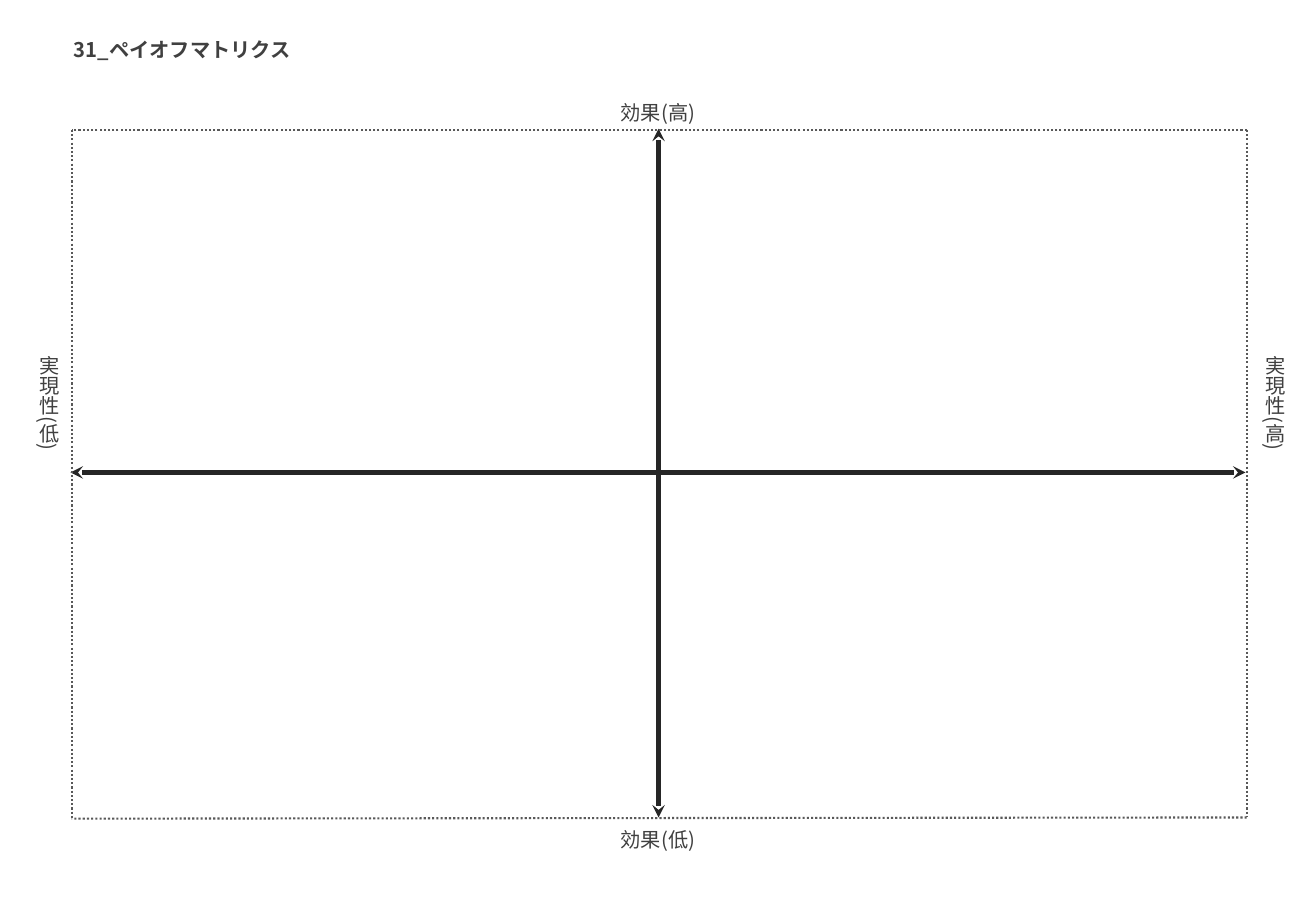
from lxml.etree import SubElement
from pptx import Presentation
from pptx.dml.color import RGBColor
from pptx.enum.dml import MSO_LINE
from pptx.enum.shapes import MSO_CONNECTOR
from pptx.enum.text import MSO_AUTO_SIZE, PP_ALIGN
from pptx.oxml.ns import qn
from pptx.util import Emu, Pt

PX = 9144
FONT = "Noto Sans CJK JP"
AXIS = RGBColor(0x26, 0x26, 0x26)
FRAME = RGBColor(0x59, 0x59, 0x59)
TEXT = RGBColor(0x40, 0x40, 0x40)


def px(value):
    return Emu(value * PX)


class MatrixSlide:
    def __init__(self, presentation):
        self.slide = presentation.slides.add_slide(presentation.slide_layouts[6])
        self.font_name = FONT
        self.font_size = Pt(12)

    def line(self, start, end, color, width):
        connector = self.slide.shapes.add_connector(
            MSO_CONNECTOR.STRAIGHT, *map(px, start + end)
        )
        connector.line.color.rgb = color
        connector.line.width = Pt(width)
        SubElement(connector._element.spPr, qn("a:effectLst"))
        return connector

    def axis(self, start, end):
        connector = self.line(start, end, AXIS, 2.5)
        outline = connector.line._get_or_add_ln()
        for tag in ("a:headEnd", "a:tailEnd"):
            SubElement(outline, qn(tag), type="stealth")

    def border(self, start, end):
        connector = self.line(start, end, FRAME, 1.25)
        connector.line.dash_style = MSO_LINE.ROUND_DOT

    def text(self, text, left, top, width, height, wrap=True, bold=False):
        shape = self.slide.shapes.add_textbox(*map(px, (left, top, width, height)))
        frame = shape.text_frame
        frame.text = text
        frame.word_wrap = wrap
        frame.auto_size = MSO_AUTO_SIZE.SHAPE_TO_FIT_TEXT
        paragraph = frame.paragraphs[0]
        for run in paragraph.runs:
            run.font.name = self.font_name
            run.font.size = self.font_size
            run.font.bold = bold
            run.font.color.rgb = TEXT
            SubElement(run.font._element, qn("a:ea"), typeface=self.font_name)
        return frame

    def label(self, text, left, top, width, height, vertical=False):
        frame = self.text(text, left, top, width, height)
        frame.paragraphs[0].alignment = PP_ALIGN.CENTER
        frame.paragraphs[0].line_spacing = 1.2
        if vertical:
            frame._txBody.bodyPr.set("vert", "eaVert")


def main():
    presentation = Presentation()
    presentation.slide_width = px(1083)
    presentation.slide_height = px(750)
    matrix = MatrixSlide(presentation)

    matrix.axis((542, 106), (542, 673))
    matrix.axis((58, 389), (1025, 389))

    for text, top in (("効果(高)", 74), ("効果(低)", 672)):
        matrix.label(text, 375, top, 333, 34)
    for text, left in (("実現性(高)", 1024), ("実現性(低)", 15)):
        matrix.label(text, left, 283, 44, 213, vertical=True)

    top_left, top_right = (59, 107), (1026, 107)
    bottom_left, bottom_right = (59, 674), (1026, 673)
    matrix.border(top_right, top_left)
    matrix.border(bottom_right, bottom_left)
    matrix.border(top_right, bottom_right)
    matrix.border(top_left, bottom_left)

    matrix.text("31_ペイオフマトリクス", 51, 26, 206, 30, wrap=False, bold=True)
    presentation.save("out.pptx")


if __name__ == "__main__":
    main()
